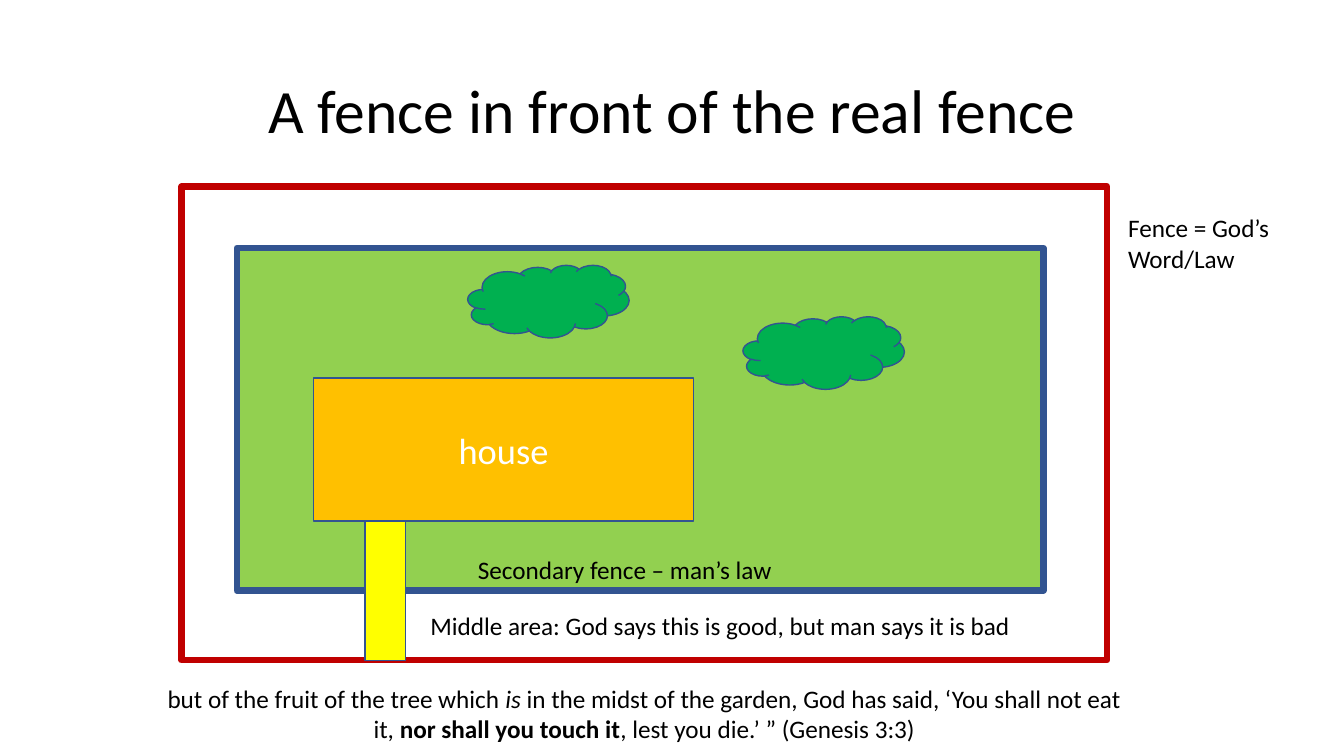
from pptx import Presentation
from pptx.dml.color import RGBColor
from pptx.enum.shapes import MSO_SHAPE as Kind
from pptx.enum.text import MSO_ANCHOR as Anchor, PP_ALIGN as Align
from pptx.util import Inches, Pt

BLACK = RGBColor(0x00, 0x00, 0x00)
WHITE = RGBColor(0xFF, 0xFF, 0xFF)
BLUE = RGBColor(0x32, 0x54, 0x91)
RED = RGBColor(0xC0, 0x00, 0x00)
LAWN = RGBColor(0x92, 0xD0, 0x50)
TREE = RGBColor(0x00, 0xB0, 0x50)
GOLD = RGBColor(0xFF, 0xC0, 0x00)
YELLOW = RGBColor(0xFF, 0xFF, 0x00)


class Sketch:
    font = "Calibri"

    def __init__(self, slide):
        self.slide = slide

    def words(self, frame, runs, size=18, color=BLACK, align=Align.LEFT):
        para = frame.paragraphs[0]
        para.alignment = align
        for text, style in runs:
            run = para.add_run()
            run.text = text
            font = run.font
            font.name = self.font
            font.size = Pt(size)
            font.color.rgb = color
            font.bold = style == "bold"
            font.italic = style == "italic"
        return para

    def shape(self, kind, box, fill=None, line=BLUE, width=1):
        shape = self.slide.shapes.add_shape(kind, *map(Inches, box))
        shape.shadow.inherit = False
        if fill is None:
            shape.fill.background()
        else:
            shape.fill.solid()
            shape.fill.fore_color.rgb = fill
        shape.line.color.rgb = line
        shape.line.width = Pt(width)
        return shape

    def label(self, box, runs, size=18, align=Align.LEFT, anchor=Anchor.TOP, wrap=True):
        frame = self.slide.shapes.add_textbox(*map(Inches, box)).text_frame
        frame.word_wrap = wrap
        frame.vertical_anchor = anchor
        return self.words(frame, runs, size, align=align)


def main():
    deck = Presentation()
    deck.slide_width, deck.slide_height = Inches(13.33), Inches(7.5)
    sketch = Sketch(deck.slides.add_slide(deck.slide_layouts[6]))

    title = sketch.label((0.92, 0.4, 11.5, 1.45),
                         [("A fence in front of the real fence", "")],
                         44, Align.CENTER, Anchor.MIDDLE)
    title.line_spacing = 0.9

    sketch.shape(Kind.RECTANGLE, (2.35, 2.46, 8, 3.4), LAWN, width=4.5)
    house = sketch.shape(Kind.RECTANGLE, (3.11, 3.75, 3.77, 1.42), GOLD)
    house.text_frame.vertical_anchor = Anchor.MIDDLE
    sketch.words(house.text_frame, [("house", "")], 26, WHITE, Align.CENTER)
    sketch.shape(Kind.RECTANGLE, (1.8, 1.85, 9.18, 4.7), line=RED, width=4.5)

    sketch.label((11.09, 2.06, 1.8, 0.71), [("Fence = God’s Word/Law", "")])
    sketch.label((4.64, 5.45, 3.51, 0.4), [("Secondary fence – man’s law", "")])

    for left, top in ((7.37, 3.14), (4.64, 2.63)):
        sketch.shape(Kind.CLOUD, (left, top, 1.6, 0.72), TREE)
    sketch.shape(Kind.RECTANGLE, (3.62, 5.17, 0.4, 1.38), YELLOW)

    sketch.label((4.17, 6.01, 6.02, 0.4),
                 [("Middle area: God says this is good, but man says it is bad", "")],
                 wrap=False)
    verse = [
        ("but of the fruit of the tree which ", ""),
        ("is", "italic"),
        (" in the midst of the garden, God has said, ‘You shall not eat it, ", ""),
        ("nor shall you touch it", "bold"),
        (", lest you die.’ ” (Genesis 3:3)", ""),
    ]
    sketch.label((1.5, 6.73, 9.78, 0.71), verse, align=Align.CENTER)
    deck.save("out.pptx")


if __name__ == "__main__":
    main()
